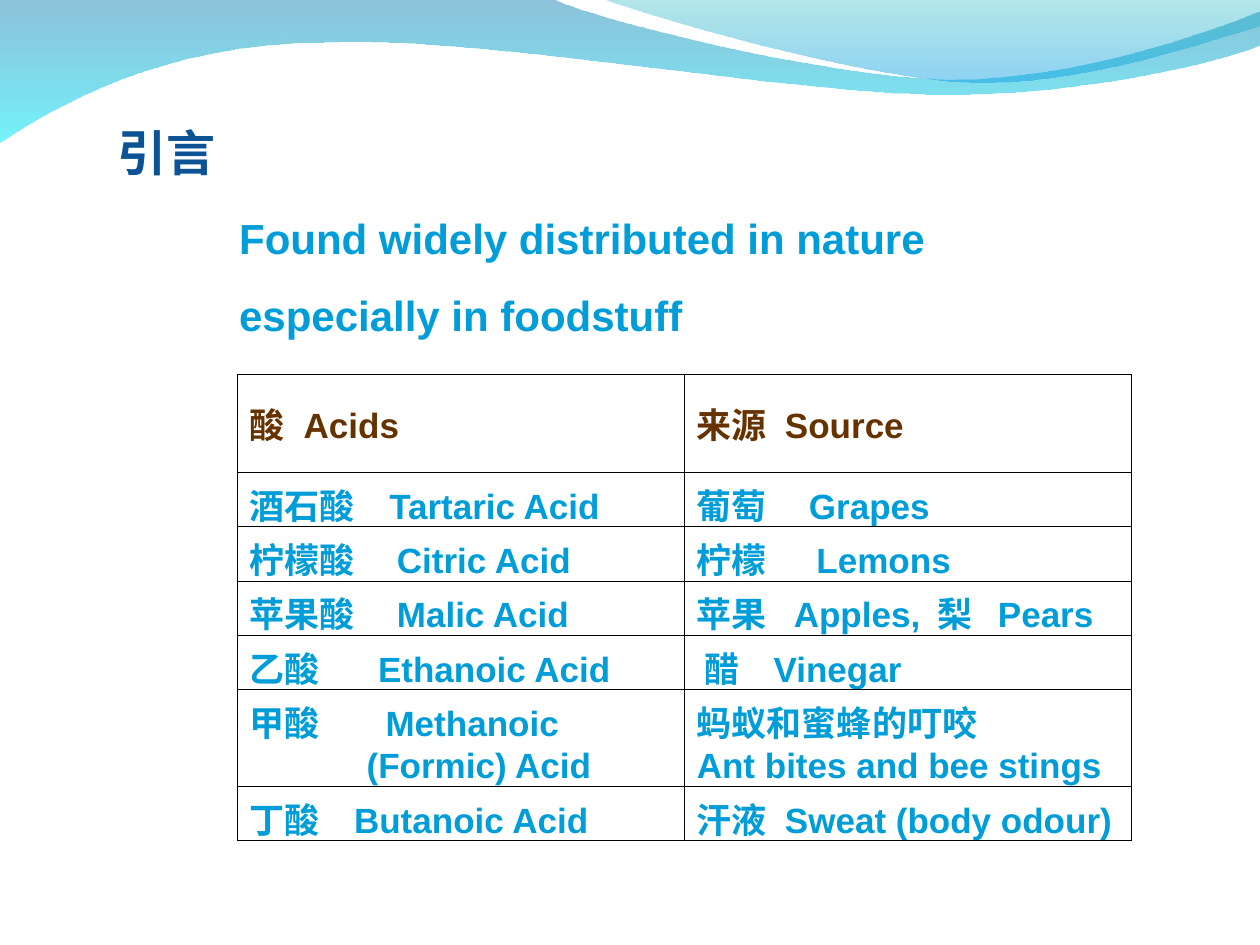
from itertools import groupby

from lxml import etree
from pptx import Presentation
from pptx import util as u
from pptx.dml.color import RGBColor
from pptx.enum import text
from pptx.oxml import ns

THEME = {
    "latin": "Arial", "cjk": "Noto Sans CJK SC",
    "title": "0B5395", "body": "009DD9", "header": "663300", "border": "000000",
    "title_size": 28, "body_size": 24, "table_size": 20, "border_width": 0.34,
}
W, H = 10, 7.5

# Each wave, in hundredths of an inch: start point, then line (2 numbers) or
# cubic curve (6 numbers) segments, then gradient stops (colour, opacity percent).
WAVES = [
    ((0, 0),
     [(440, 0), (476, 17, 664, 63, 758, 63), (853, 63, 958, 26, 1000, 9), (1000, 36),
      (983, 44, 870, 76, 746, 75), (622, 75, 382, 28, 257, 34), (129, 35, 46, 83, 0, 113)],
     [("0079AF", 45), ("00EBF8", 55)]),
    ((479, 0),
     [(509, 11, 682, 62, 769, 65), (856, 69, 961, 32, 1000, 21), (1000, 0)],
     [("00ADB6", 30), ("009BE5", 45)]),
]

TITLE = "引言"
BODY = ["Found widely distributed in nature", "especially in foodstuff"]

# A cell is a list of paragraphs: (text, tab stops in inches).
ROWS = [
    ([("酸\tAcids", [0.43])], [("来源\tSource", [0.7])]),
    ([("酒石酸\tTartaric Acid", [1.11])], [("葡萄\tGrapes", [0.89])]),
    ([("柠檬酸\tCitric Acid", [1.17])], [("柠檬\tLemons", [0.95])]),
    ([("苹果酸\tMalic Acid", [1.17])], [("苹果\tApples,\t梨\tPears", [0.77, 1.91, 2.39])]),
    ([("乙酸\tEthanoic Acid", [1.02])], [("\t醋\tVinegar", [0.06, 0.61])]),
    ([("甲酸\tMethanoic", [1.08]), ("\t(Formic) Acid", [0.93])],
     [("蚂蚁和蜜蜂的叮咬", []), ("Ant bites and bee stings", [])]),
    ([("丁酸\tButanoic Acid", [0.83])], [("汗液\tSweat (body odour)", [0.7])]),
]
TABLE_LEFT, TABLE_TOP, COL_W = 1.88, 2.97, 3.55
HEADER_H, LINE_H, DOUBLE_H = 0.78, 0.43, 0.77


def sub(parent, tag, **attrs):
    return etree.SubElement(parent, ns.qn(tag), attrs)


def write(p, words, size, color, stops=()):
    """Fill a paragraph, with one run for each stretch of Chinese or Latin text."""
    if stops:
        tabs = sub(p._p.get_or_add_pPr(), "a:tabLst")
        for stop in stops:
            sub(tabs, "a:tab", pos=str(int(u.Inches(stop))), algn="l")
    for is_cjk, chars in groupby(words, lambda ch: ch >= "一"):
        r = p.add_run()
        r.text = "".join(chars)
        r.font.size, r.font.bold = u.Pt(size), True
        r.font.color.rgb = RGBColor.from_string(color)
        r.font.name = THEME["cjk" if is_cjk else "latin"]
        sub(r._r.get_or_add_rPr(), "a:ea", typeface=THEME["cjk"])


def add_text(s, box, lines, size, color, left, gap=0):
    tf = s.shapes.add_textbox(*map(u.Inches, box)).text_frame
    tf.word_wrap = True
    tf.margin_left = u.Inches(left)
    for i, line in enumerate(lines):
        p = tf.add_paragraph() if i else tf.paragraphs[0]
        if i:
            p.space_before = u.Pt(gap)
        write(p, line, size, color)


def bend(sp, segments, left, top):
    """Turn the straight segments that have control points into cubic curves."""
    for line, seg in zip(list(sp._element.iter(ns.qn("a:lnTo"))), segments):
        if len(seg) == 6:
            curve = etree.Element(ns.qn("a:cubicBezTo"))
            for x, y in zip(seg[::2], seg[1::2]):
                sub(curve, "a:pt", x=str(x - left), y=str(y - top))
            line.getparent().replace(line, curve)


def add_wave(s, start, segments, stops):
    ends = [seg[-2:] for seg in segments]
    builder = s.shapes.build_freeform(*start, scale=u.Inches(0.01))
    builder.add_line_segments(ends, close=True)
    sp = builder.convert_to_shape()
    bend(sp, segments, *map(min, zip(start, *ends)))
    sp.shadow.inherit = False
    sp.line.fill.background()
    sp.fill.gradient()
    sp.fill.gradient_angle = 270
    for stop, (color, _) in zip(sp.fill.gradient_stops, stops):
        stop.color.rgb = RGBColor.from_string(color)
    for clr, (_, opacity) in zip(sp._element.spPr.iter(ns.qn("a:srgbClr")), stops):
        sub(clr, "a:alpha", val=str(opacity * 1000))


def style_cell(cell, top):
    tc_pr = cell._tc.get_or_add_tcPr()
    for side in "LRTB":
        ln = sub(tc_pr, "a:ln" + side, w=str(int(u.Pt(THEME["border_width"]))))
        sub(sub(ln, "a:solidFill"), "a:srgbClr", val=THEME["border"])
    cell.fill.background()
    cell.vertical_anchor = text.MSO_ANCHOR.MIDDLE
    cell.margin_left = cell.margin_right = u.Inches(0.1)
    cell.margin_top, cell.margin_bottom = u.Inches(top), 0


def add_acid_table(s):
    heights = [HEADER_H] + [DOUBLE_H if len(row[0]) > 1 else LINE_H for row in ROWS[1:]]
    table = s.shapes.add_table(len(ROWS), 2, *map(
        u.Inches, (TABLE_LEFT, TABLE_TOP, 2 * COL_W, sum(heights)))).table
    table.first_row = table.horz_banding = False
    for i, (row, height) in enumerate(zip(ROWS, heights)):
        table.rows[i].height = u.Inches(height)
        for j, paragraphs in enumerate(row):
            cell = table.cell(i, j)
            style_cell(cell, 0.05 if i else 0)
            tf = cell.text_frame
            for k, (words, stops) in enumerate(paragraphs):
                p = tf.add_paragraph() if k else tf.paragraphs[0]
                write(p, words, THEME["table_size"], THEME["body" if i else "header"], stops)


def main():
    prs = Presentation()
    prs.slide_width, prs.slide_height = u.Inches(W), u.Inches(H)
    s = prs.slides.add_slide(prs.slide_layouts[6])
    for wave in WAVES:
        add_wave(s, *wave)
    add_text(s, (0.75, 0.92, 7.5, 0.67), [TITLE], THEME["title_size"], THEME["title"], 0.18)
    add_text(s, (1.8, 1.64, 6.53, 1.11), BODY, THEME["body_size"], THEME["body"], 0.1, 15)
    add_acid_table(s)
    prs.save("out.pptx")


if __name__ == "__main__":
    main()
